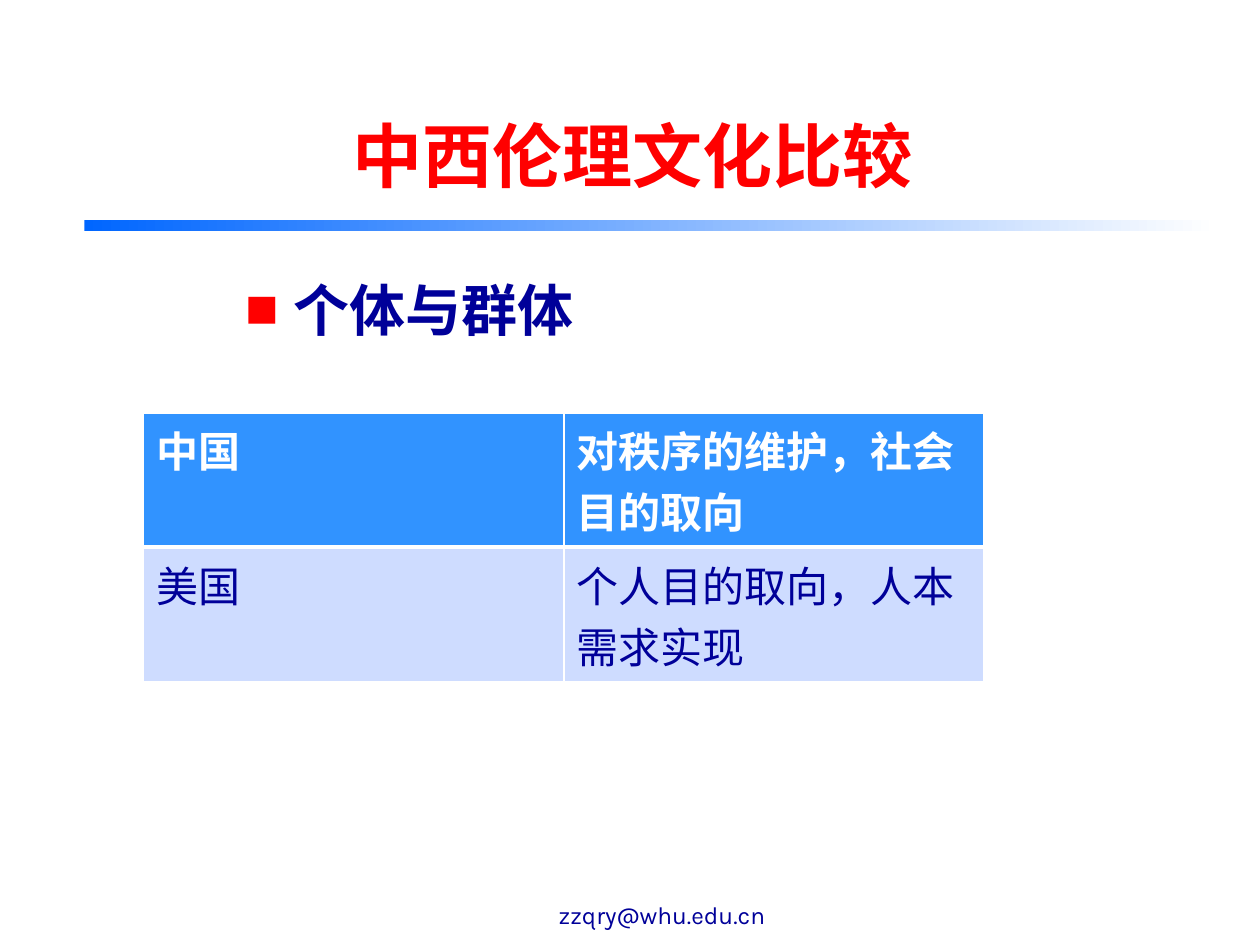
from lxml.etree import SubElement
from pptx import Presentation
from pptx.dml.color import RGBColor
from pptx.enum.dml import MSO_THEME_COLOR
from pptx.enum.shapes import MSO_SHAPE
from pptx.enum.text import MSO_ANCHOR, PP_ALIGN
from pptx.oxml.ns import qn
from pptx.util import Inches, Pt

WIDE, HIGH = Inches(10), Inches(7.5)
RED = RGBColor(0xFF, 0, 0)
NAVY = RGBColor(0, 0, 0x99)
BLUE = RGBColor(0, 0x66, 0xFF)
SKY = RGBColor(0x31, 0x93, 0xFF)
PALE = RGBColor(0xCE, 0xDC, 0xFF)
WHITE = RGBColor(0xFF, 0xFF, 0xFF)
LATIN, TITLE, HAN = "Karla", "Noto Sans CJK JP", "Noto Sans CJK SC"
ROWS = [
    ("中国", "对秩序的维护，社会目的取向"),
    ("美国", "个人目的取向，人本需求实现"),
]


def area(x, y, w, h):
    """Turn shares of the slide into a box of lengths."""
    return int(x * WIDE), int(y * HIGH), int(w * WIDE), int(h * HIGH)


def style(para, size, color, bold=False, face=LATIN, han=HAN):
    for run in para.runs:
        font = run.font
        font.size, font.bold, font.name = Pt(size), bold, face
        font.color.rgb = color
        SubElement(run._r.get_or_add_rPr(), qn("a:ea"), typeface=han)


def add_title(slide, box):
    title = slide.shapes.title
    title.left, title.top, title.width, title.height = box
    frame = title.text_frame
    frame.text = "中西伦理文化比较"
    frame.vertical_anchor = MSO_ANCHOR.BOTTOM
    para = frame.paragraphs[0]
    para.alignment = PP_ALIGN.CENTER
    style(para, 40, RED, True, TITLE, TITLE)


def add_rule(slide, box):
    bar = slide.shapes.add_shape(MSO_SHAPE.RECTANGLE, *box)
    bar.shadow.inherit = False
    bar.line.fill.background()
    bar.fill.gradient()
    bar.fill.gradient_angle = 0
    for stop, color, place in zip(bar.fill.gradient_stops, (BLUE, WHITE), (0, 1)):
        stop.color.theme_color = MSO_THEME_COLOR.ACCENT_1
        stop.color.rgb = color
        stop.position = place


def add_text(slide, box, text):
    frame = slide.shapes.add_textbox(*box).text_frame
    frame.word_wrap = True
    frame.text = text
    return frame


def add_point(slide, box):
    para = add_text(slide, box, "个体与群体").paragraphs[0]
    props = para._p.get_or_add_pPr()
    hang = Inches(0.38)
    props.set("marL", str(hang))
    props.set("indent", str(-hang))
    tint = SubElement(props, qn("a:buClr"))
    SubElement(tint, qn("a:srgbClr"), val=str(RED))
    SubElement(props, qn("a:buSzPct"), val="60000")
    SubElement(props, qn("a:buFont"), typeface=HAN)
    SubElement(props, qn("a:buChar"), char="■")
    style(para, 32, NAVY, True, HAN)


def add_edges(cell, base):
    """Draw white cell borders, with the given width at the base."""
    props = cell._tc.get_or_add_tcPr()
    for at, (side, width) in enumerate(zip("LRTB", (1, 1, 1, base))):
        line = SubElement(props, qn(f"a:ln{side}"), w=str(Pt(width)))
        fill = SubElement(line, qn("a:solidFill"))
        SubElement(fill, qn("a:srgbClr"), val=str(WHITE))
        props.insert(at, line)


def add_grid(slide, box):
    table = slide.shapes.add_table(len(ROWS), len(ROWS[0]), *box).table
    for r, texts in enumerate(ROWS):
        head = r == 0
        for c, text in enumerate(texts):
            cell = table.cell(r, c)
            cell.text = text
            cell.fill.solid()
            cell.fill.fore_color.rgb = SKY if head else PALE
            add_edges(cell, 3 if head else 1)
            para = cell.text_frame.paragraphs[0]
            para.alignment = PP_ALIGN.LEFT
            style(para, 24, WHITE if head else NAVY, head)


def add_foot(slide, box):
    frame = add_text(slide, box, "zzqry@whu.edu.cn")
    frame.vertical_anchor = MSO_ANCHOR.BOTTOM
    para = frame.paragraphs[0]
    para.alignment = PP_ALIGN.CENTER
    style(para, 14, NAVY)


def main():
    deck = Presentation()
    deck.slide_width, deck.slide_height = WIDE, HIGH
    slide = deck.slides.add_slide(deck.slide_layouts[5])
    add_rule(slide, area(0.067, 0.233, 0.9, 0.011))
    add_title(slide, area(0.108, 0.105, 0.788, 0.11))
    add_point(slide, area(0.185, 0.285, 0.7, 0.1))
    add_grid(slide, area(0.114, 0.437, 0.667, 0.284))
    add_foot(slide, area(0.367, 0.923, 0.317, 0.067))
    deck.save("out.pptx")


if __name__ == "__main__":
    main()
